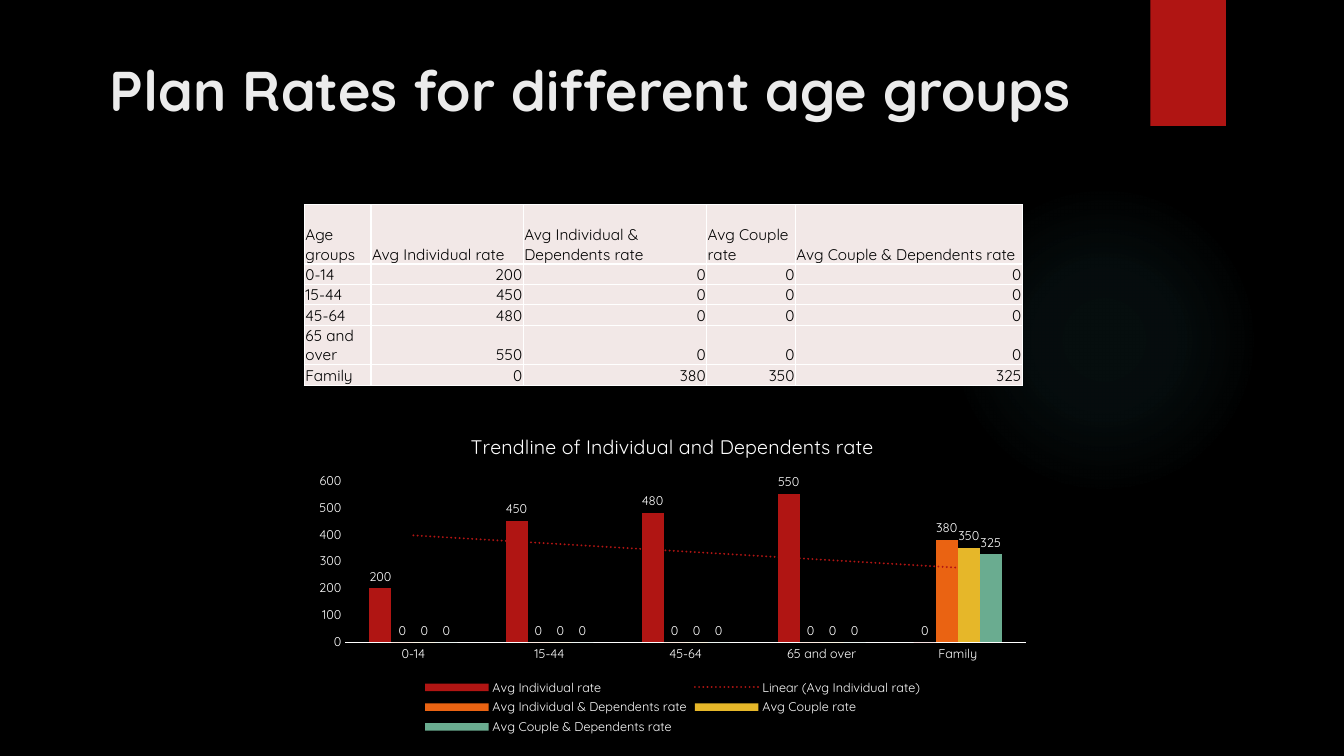
from lxml.etree import SubElement
from pptx import Presentation
from pptx.chart.data import CategoryChartData
from pptx.dml.color import RGBColor
from pptx.enum.chart import XL_CHART_TYPE, XL_LABEL_POSITION, XL_LEGEND_POSITION, XL_TICK_MARK
from pptx.enum.shapes import MSO_SHAPE
from pptx.enum.text import MSO_ANCHOR, PP_ALIGN
from pptx.oxml import parse_xml
from pptx.oxml.ns import nsdecls, qn
from pptx.util import Inches, Pt

FONT = "Quicksand"
BLACK = RGBColor(0x00, 0x00, 0x00)
WHITE = RGBColor(0xFF, 0xFF, 0xFF)
TITLE_GREY = RGBColor(0xEB, 0xEB, 0xEB)
CELL_PINK = RGBColor(0xF2, 0xE8, 0xE7)
RED = RGBColor(0xB0, 0x15, 0x13)
ORANGE = RGBColor(0xEA, 0x63, 0x12)
YELLOW = RGBColor(0xE6, 0xB7, 0x29)
GREEN = RGBColor(0x6A, 0xAC, 0x90)
TEAL = RGBColor(0x50, 0xB9, 0xC1)

AGE_GROUPS = ["0-14", "15-44", "45-64", "65 and over", "Family"]
RATES = {
    "Avg Individual rate": [200, 450, 480, 550, 0],
    "Avg Individual & Dependents rate": [0, 0, 0, 0, 380],
    "Avg Couple rate": [0, 0, 0, 0, 350],
    "Avg Couple & Dependents rate": [0, 0, 0, 0, 325],
}
SERIES_COLORS = [RED, ORANGE, YELLOW, GREEN]
COLUMN_WIDTHS = [0.66, 1.51, 1.82, 0.88, 2.25]
ROW_HEIGHTS = [0.59, 0.16, 0.16, 0.16, 0.31, 0.16]


def style_font(font, size, color, bold=False):
    font.name = FONT
    font.size = Pt(size)
    font.bold = bold
    font.color.rgb = color


def set_text(text_frame, text, size, color, bold=False, align=None):
    paragraph = text_frame.paragraphs[0]
    paragraph.alignment = align
    run = paragraph.add_run()
    run.text = text
    style_font(run.font, size, color, bold)


def add_decoration(slide, kind, left, top, width, height):
    shape = slide.shapes.add_shape(
        kind, Inches(left), Inches(top), Inches(width), Inches(height))
    shape.shadow.inherit = False
    shape.line.fill.background()
    return shape


def add_glow(slide, left, top, diameter):
    """Add a faint radial glow that fades out before the circle's edge."""
    glow = add_decoration(slide, MSO_SHAPE.OVAL, left, top, diameter, diameter)
    glow.fill.background()
    stops = "".join(
        f'<a:gs pos="{position * 1000}"><a:srgbClr val="{TEAL}">'
        f'<a:alpha val="{alpha * 1000}"/></a:srgbClr></a:gs>'
        for position, alpha in [(0, 7), (36, 6), (69, 0)])
    gradient = parse_xml(
        f'<a:gradFill {nsdecls("a")} rotWithShape="1"><a:gsLst>{stops}</a:gsLst>'
        '<a:path path="circle"><a:fillToRect l="50000" t="50000" r="50000" b="50000"/>'
        '</a:path></a:gradFill>')
    properties = glow.element.spPr
    properties.replace(properties.find(qn("a:noFill")), gradient)


def add_ribbon(slide, left, top, width, height):
    ribbon = add_decoration(slide, MSO_SHAPE.RECTANGLE, left, top, width, height)
    ribbon.fill.solid()
    ribbon.fill.fore_color.rgb = RED


def add_title(slide, left, top, width, height):
    title = slide.shapes.title
    title.left, title.top = Inches(left), Inches(top)
    title.width, title.height = Inches(width), Inches(height)
    title.text_frame.vertical_anchor = MSO_ANCHOR.TOP
    title.text_frame.word_wrap = True
    set_text(title.text_frame, "Plan Rates for different age groups", 40,
             TITLE_GREY, bold=True, align=PP_ALIGN.CENTER)


def format_cell(cell):
    cell.vertical_anchor = MSO_ANCHOR.BOTTOM
    cell.margin_left = cell.margin_right = cell.margin_top = Inches(0.01)
    cell.margin_bottom = 0
    properties = cell._tc.get_or_add_tcPr()
    for side in ("lnL", "lnR", "lnT", "lnB"):
        line = SubElement(properties, qn(f"a:{side}"), w=str(Pt(1)))
        fill = SubElement(line, qn("a:solidFill"))
        SubElement(fill, qn("a:srgbClr"), val=str(WHITE))
    cell.fill.solid()
    cell.fill.fore_color.rgb = CELL_PINK


def add_rate_table(slide, left, top, width, height):
    rows = [["Age groups", *RATES], *zip(AGE_GROUPS, *RATES.values())]
    table = slide.shapes.add_table(
        len(rows), len(rows[0]), Inches(left), Inches(top),
        Inches(width), Inches(height)).table
    for column, column_width in zip(table.columns, COLUMN_WIDTHS):
        column.width = Inches(column_width)
    for row, row_height in zip(table.rows, ROW_HEIGHTS):
        row.height = Inches(row_height)
    for row_index, values in enumerate(rows):
        for column_index, value in enumerate(values):
            cell = table.cell(row_index, column_index)
            format_cell(cell)
            align = PP_ALIGN.RIGHT if isinstance(value, int) else PP_ALIGN.LEFT
            set_text(cell.text_frame, str(value), 11, BLACK, align=align)


def format_axis(axis):
    axis.has_major_gridlines = False
    axis.major_tick_mark = axis.minor_tick_mark = XL_TICK_MARK.NONE
    style_font(axis.tick_labels.font, 9, WHITE)


def format_series(series, color):
    series.format.fill.solid()
    series.format.fill.fore_color.rgb = color
    series.invert_if_negative = False
    labels = series.data_labels
    labels.show_value = True
    labels.position = XL_LABEL_POSITION.OUTSIDE_END
    style_font(labels.font, 9, WHITE)


def add_trendline(series, color):
    trendline = parse_xml(
        f'<c:trendline {nsdecls("c", "a")}><c:spPr><a:ln w="{Pt(1.5)}" cap="rnd">'
        f'<a:solidFill><a:srgbClr val="{color}"/></a:solidFill>'
        '<a:prstDash val="sysDot"/></a:ln></c:spPr>'
        '<c:trendlineType val="linear"/><c:dispRSqr val="0"/><c:dispEq val="0"/>'
        '</c:trendline>')
    series._element.find(qn("c:cat")).addprevious(trendline)


def add_rate_chart(slide, left, top, width, height):
    data = CategoryChartData()
    data.categories = AGE_GROUPS
    for name, values in RATES.items():
        data.add_series(name, values)
    chart = slide.shapes.add_chart(
        XL_CHART_TYPE.COLUMN_CLUSTERED, Inches(left), Inches(top),
        Inches(width), Inches(height), data).chart
    style_font(chart.font, 10, WHITE)
    set_text(chart.chart_title.text_frame,
             "Trendline of Individual and Dependents rate", 14, WHITE)
    chart.chart_title.include_in_layout = False

    chart.has_legend = True
    chart.legend.position = XL_LEGEND_POSITION.BOTTOM
    chart.legend.include_in_layout = False
    style_font(chart.legend.font, 9, WHITE)

    format_axis(chart.category_axis)
    format_axis(chart.value_axis)
    chart.category_axis.format.line.color.rgb = WHITE
    chart.category_axis.format.line.width = Pt(0.75)
    chart.value_axis.format.line.fill.background()

    plot = chart.plots[0]
    plot.gap_width = 219
    plot.overlap = 0
    plot.vary_by_categories = False
    for series, color in zip(plot.series, SERIES_COLORS):
        format_series(series, color)
    add_trendline(plot.series[0], RED)


def main():
    presentation = Presentation()
    presentation.slide_width = Inches(13.33)
    presentation.slide_height = Inches(7.5)
    slide = presentation.slides.add_slide(presentation.slide_layouts[5])
    slide.background.fill.solid()
    slide.background.fill.fore_color.rgb = BLACK
    add_glow(slide, 9.41, 1.83, 3.08)
    add_ribbon(slide, 11.41, 0, 0.75, 1.25)
    add_title(slide, 0.71, 0.5, 10.29, 1.53)
    add_rate_table(slide, 3.02, 2.03, 7.13, 1.72)
    add_rate_chart(slide, 3.02, 4.14, 7.3, 3.19)
    presentation.save("out.pptx")


if __name__ == "__main__":
    main()
